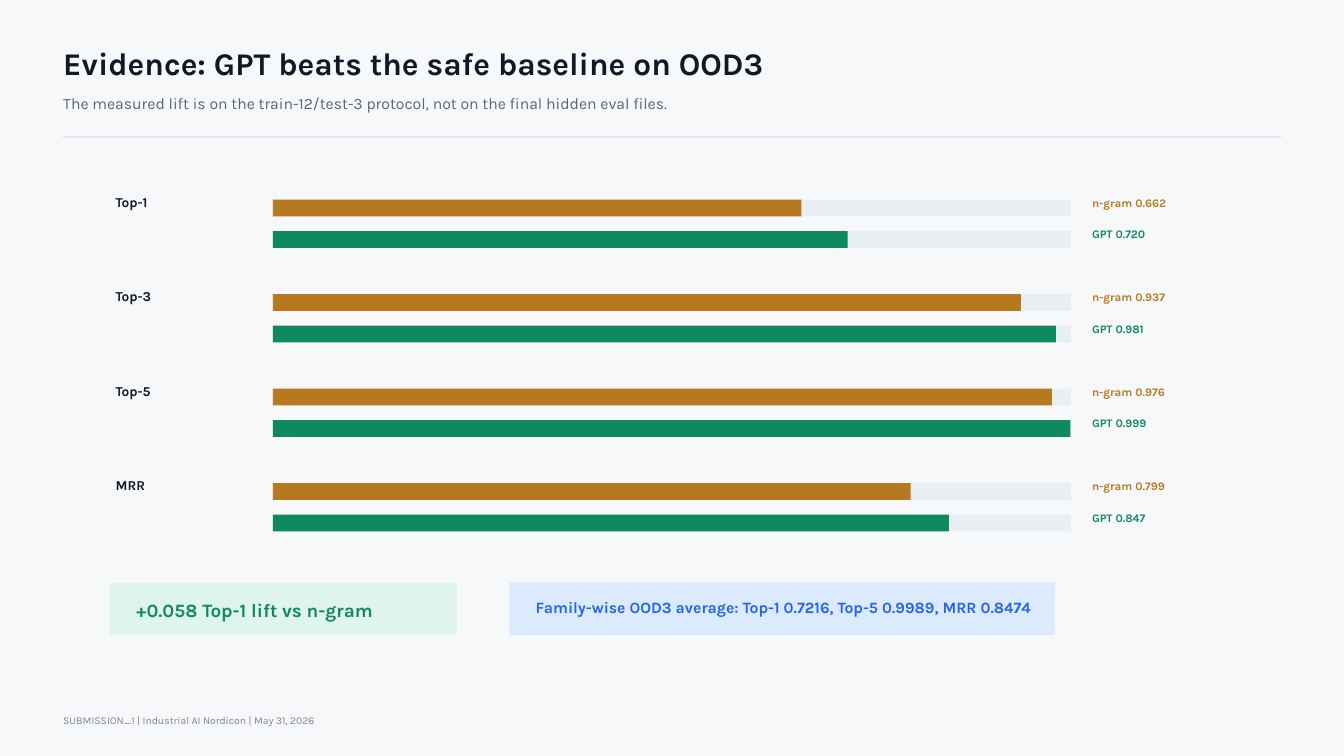
from pptx import Presentation
from pptx.dml.color import RGBColor
from pptx.enum.shapes import MSO_SHAPE
from pptx.enum.text import MSO_ANCHOR, MSO_AUTO_SIZE, PP_ALIGN
from pptx.util import Inches, Pt

INK, AMBER, GREEN, BLUE = "111827", "B7791F", "0F8A5F", "2563EB"
TRACK = "E9EDF4"

prs = Presentation()
prs.slide_width, prs.slide_height = Inches(20), Inches(11.25)
s = prs.slides.add_slide(prs.slide_layouts[5])
s.background.fill.solid()
s.background.fill.fore_color.rgb = RGBColor.from_string("F7F8FA")


def add_bar(x, y, w, h, color):
    sp = s.shapes.add_shape(MSO_SHAPE.RECTANGLE, Inches(x), Inches(y), Inches(w), Inches(h))
    sp.fill.solid()
    sp.fill.fore_color.rgb = RGBColor.from_string(color)
    sp.line.fill.background()
    sp.shadow.inherit = False
    return sp


def set_text(sp, text, size, color, bold=True, left=0, top=0):
    tf = sp.text_frame
    tf.text = text
    tf.word_wrap = True
    tf.auto_size = MSO_AUTO_SIZE.NONE
    tf.vertical_anchor = MSO_ANCHOR.TOP
    tf.margin_left, tf.margin_top = Inches(left), Inches(top)
    tf.margin_right = tf.margin_bottom = 0
    p = tf.paragraphs[0]
    p.alignment = PP_ALIGN.LEFT
    p.line_spacing = Pt(round(size * 1.2, 1))
    font = p.runs[0].font
    font.name, font.size, font.bold = "Karla", Pt(size), bold
    font.color.rgb = RGBColor.from_string(color)


# Header
title = s.shapes.title
title.left, title.top, title.width, title.height = [Inches(v) for v in (0.94, 0.66, 14.06, 0.78)]
set_text(title, "Evidence: GPT beats the safe baseline on OOD3", 33.8, INK)
subtitle = s.shapes.add_textbox(Inches(0.94), Inches(1.4), Inches(14.06), Inches(0.51))
set_text(subtitle, "The measured lift is on the train-12/test-3 protocol, not on the final hidden eval files.",
         16.9, "5B6472", bold=False)
add_bar(0.94, 2.03, 18.12, 0.02, "D9DEE7")

# Paired metric bars, each on a track that stands for 1.0
metrics = [("Top-1", 0.662, 0.720), ("Top-3", 0.937, 0.981),
           ("Top-5", 0.976, 0.999), ("MRR", 0.799, 0.847)]
bar_left, track_width = 4.06, 11.88
for i, (metric, ngram, gpt) in enumerate(metrics):
    y = 2.97 + i * 1.406
    label = s.shapes.add_textbox(Inches(1.72), Inches(y - 0.09), Inches(1.88), Inches(0.34))
    set_text(label, metric, 14.6, INK)
    for j, (model, value, color) in enumerate([("n-gram", ngram, AMBER), ("GPT", gpt, GREEN)]):
        bar_top = y + j * 0.47
        add_bar(bar_left, bar_top, track_width, 0.25, TRACK)
        add_bar(bar_left, bar_top, track_width * value, 0.25, color)
        score = s.shapes.add_textbox(Inches(16.25), Inches(bar_top - 0.06), Inches(1.72), Inches(0.31))
        set_text(score, f"{model} {value:.3f}", 12.4, color)

# Callouts
lift = add_bar(1.64, 8.67, 5.16, 0.78, "DFF5EC")
set_text(lift, "+0.058 Top-1 lift vs n-gram", 20.2, GREEN, left=0.39, top=0.24)
average = add_bar(7.58, 8.67, 8.12, 0.78, "DCEAFE")
set_text(average, "Family-wise OOD3 average: Top-1 0.7216, Top-5 0.9989, MRR 0.8474",
         16.9, BLUE, left=0.39, top=0.23)

# Footer
footer = s.shapes.add_textbox(Inches(0.94), Inches(10.62), Inches(12.5), Inches(0.31))
set_text(footer, "SUBMISSION_1 | Industrial AI Nordicon | May 31, 2026", 11.2, "7B8494", bold=False)

prs.save("out.pptx")
